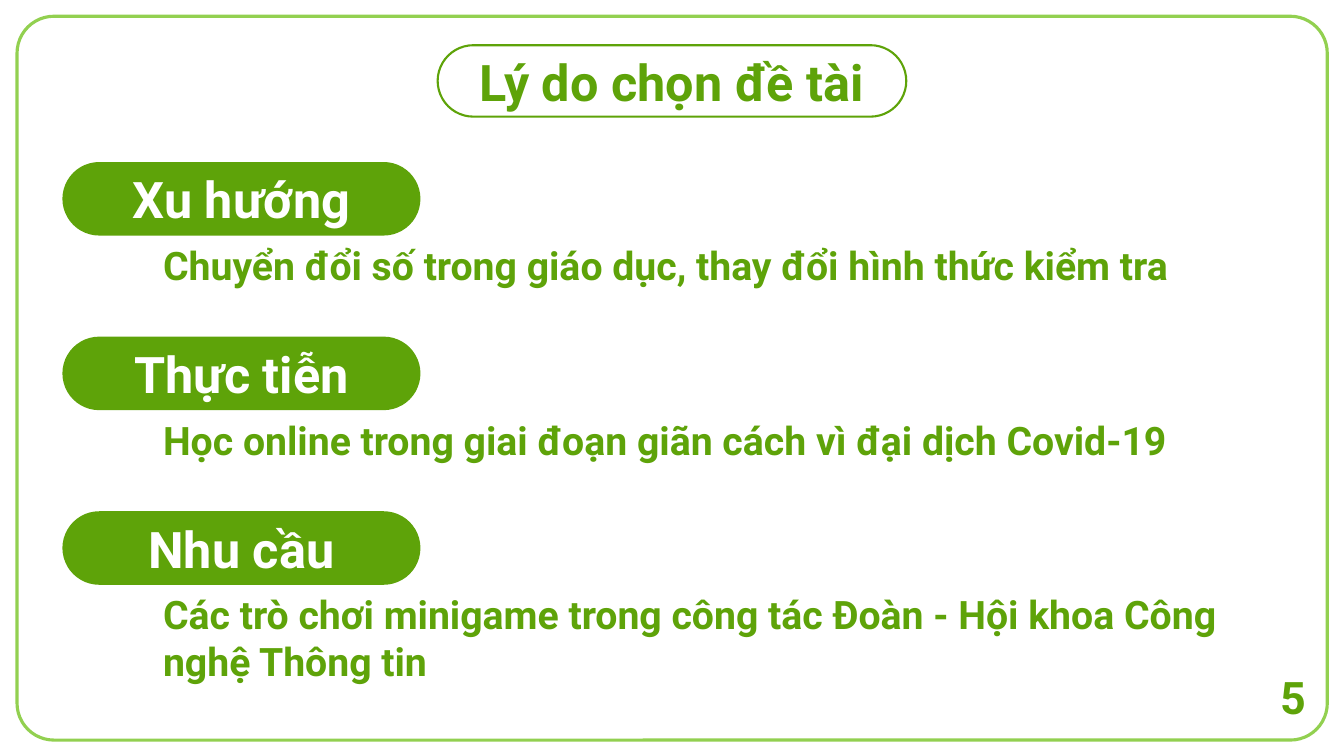
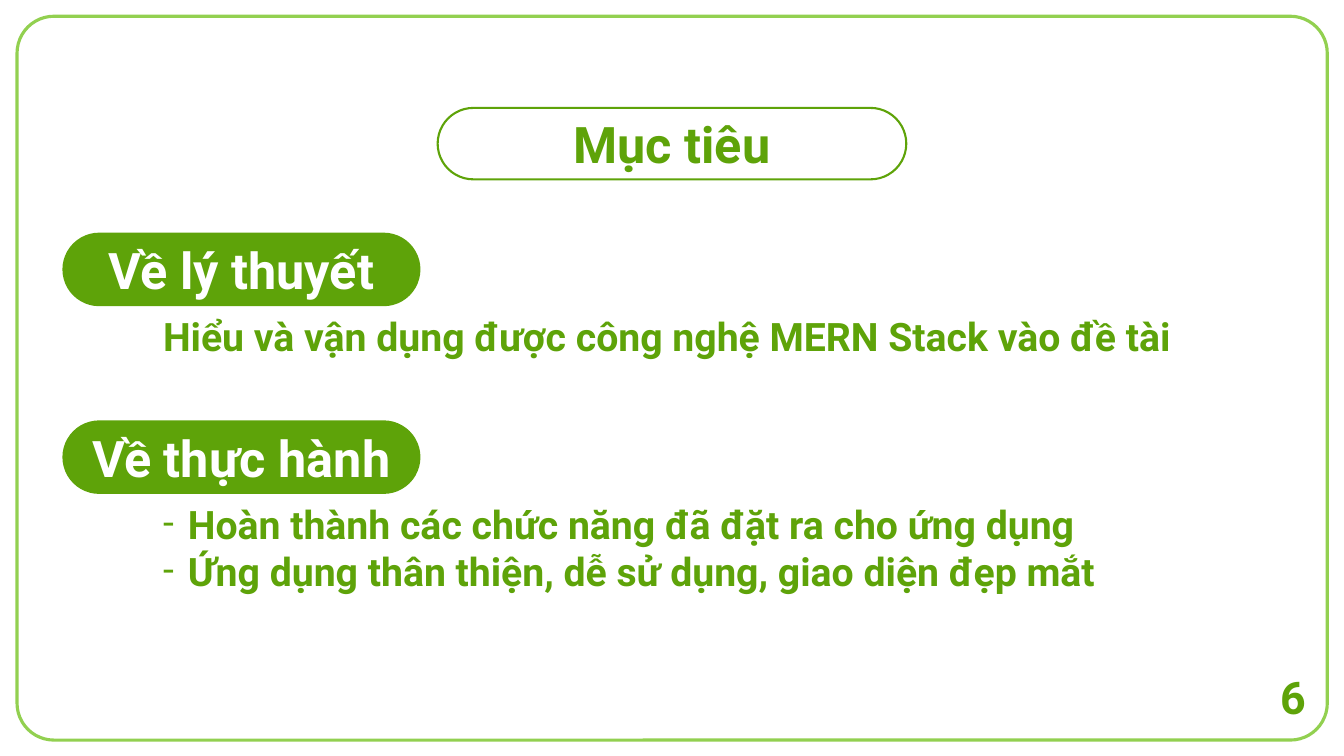
import pptx
import pptx.dml.color
import pptx.enum.shapes
import pptx.enum.text
import pptx.oxml.ns
import pptx.util
from lxml import etree

Cm = pptx.util.Cm
Pt = pptx.util.Pt
ALIGN = pptx.enum.text.PP_ALIGN
ANCHOR = pptx.enum.text.MSO_ANCHOR

COLORS = {"frame": "92D050", "green": "5EA309", "white": "FFFFFF"}
FONT = "Roboto"
SLIDE_WIDTH, SLIDE_HEIGHT = 33.87, 19.05
PILL_HEIGHT = 1.8
TITLE_WIDTH = 11.81
SECTION_LEFT, SECTION_WIDTH = 1.6, 8.97
TEXT_LEFT, TEXT_WIDTH, TEXT_OFFSET = 3.86, 28.5, 1.85
LINE_HEIGHT = 1.19
DASH_INDENT = 0.62
LAYOUT_CONTENT, LAYOUT_TITLE_ONLY = 1, 5

SLIDES = [
    {
        "title": "Lý do chọn đề tài",
        "title_top": 1.14,
        "number": 5,
        "first_top": 4.11,
        "step": 4.4,
        "sections": [
            ("Xu hướng", "Chuyển đổi số trong giáo dục, thay đổi hình thức kiểm tra"),
            ("Thực tiễn", "Học online trong giai đoạn giãn cách vì đại dịch Covid-19"),
            ("Nhu cầu", "Các trò chơi minigame trong công tác Đoàn - Hội khoa Công nghệ Thông tin"),
        ],
    },
    {
        "title": "Mục tiêu",
        "title_top": 2.72,
        "number": 6,
        "first_top": 5.89,
        "step": 4.73,
        "sections": [
            ("Về lý thuyết", "Hiểu và vận dụng được công nghệ MERN Stack vào đề tài"),
            ("Về thực hành", [
                "Hoàn thành các chức năng đã đặt ra cho ứng dụng",
                "Ứng dụng thân thiện, dễ sử dụng, giao diện đẹp mắt",
            ]),
        ],
    },
]


def rgb(name):
    return pptx.dml.color.RGBColor.from_string(COLORS[name])


def place(shape, left, top, width, height):
    shape.left, shape.top = Cm(left), Cm(top)
    shape.width, shape.height = Cm(width), Cm(height)


def format_text(shape, size, color="green", align=ALIGN.LEFT, anchor=ANCHOR.TOP, wrap=True):
    text_frame = shape.text_frame
    text_frame.word_wrap = wrap
    text_frame.auto_size = pptx.enum.text.MSO_AUTO_SIZE.NONE
    text_frame.vertical_anchor = anchor
    for paragraph in text_frame.paragraphs:
        paragraph.alignment = align
        paragraph.space_before = Pt(0)
        for run in paragraph.runs:
            run.font.name = FONT
            run.font.size = Pt(size)
            run.font.bold = True
            run.font.color.rgb = rgb(color)


def add_rounded(slide, left, top, width, height, line, line_width, fill=None, radius=0.5):
    shape = slide.shapes.add_shape(
        pptx.enum.shapes.MSO_SHAPE.ROUNDED_RECTANGLE, Cm(left), Cm(top), Cm(width), Cm(height))
    shape.adjustments[0] = radius
    shape.shadow.inherit = False
    shape.line.color.rgb = rgb(line)
    shape.line.width = Pt(line_width)
    if fill:
        shape.fill.solid()
        shape.fill.fore_color.rgb = rgb(fill)
    else:
        shape.fill.background()
    return shape


def add_text(slide, text, left, top, width, height, size, **style):
    shape = slide.shapes.add_textbox(Cm(left), Cm(top), Cm(width), Cm(height))
    shape.text_frame.text = text
    format_text(shape, size, **style)


def add_title(slide, text, top):
    bounds = ((SLIDE_WIDTH - TITLE_WIDTH) / 2, top, TITLE_WIDTH, PILL_HEIGHT)
    add_rounded(slide, *bounds, "green", 1.5)
    title = slide.shapes.title
    place(title, *bounds)
    title.text_frame.text = text
    format_text(title, 36, align=ALIGN.CENTER, anchor=ANCHOR.MIDDLE)


def add_section_label(slide, text, top):
    label = add_rounded(slide, SECTION_LEFT, top, SECTION_WIDTH, PILL_HEIGHT, "green", 1.5, "green")
    text_frame = label.text_frame
    text_frame.text = text
    text_frame.margin_left = text_frame.margin_right = 0
    text_frame.margin_top = text_frame.margin_bottom = 0
    format_text(label, 36, "white", ALIGN.CENTER, ANCHOR.MIDDLE)


def fill_dash_list(slide, items, top):
    body = slide.placeholders[1]
    place(body, TEXT_LEFT, top, TEXT_WIDTH, LINE_HEIGHT * len(items) + 0.26)
    body.text_frame.text = "\n".join(items)
    for paragraph in body.text_frame.paragraphs:
        properties = paragraph._p.get_or_add_pPr()
        properties.set("marL", str(Cm(DASH_INDENT)))
        properties.set("indent", str(-Cm(DASH_INDENT)))
        font = etree.SubElement(properties, pptx.oxml.ns.qn("a:buFont"))
        font.set("typeface", FONT)
        bullet = etree.SubElement(properties, pptx.oxml.ns.qn("a:buChar"))
        bullet.set("char", "-")
    format_text(body, 28)


def add_section(slide, label, content, top):
    add_section_label(slide, label, top)
    text_top = top + TEXT_OFFSET
    if isinstance(content, list):
        fill_dash_list(slide, content, text_top)
    else:
        add_text(slide, content, TEXT_LEFT, text_top, TEXT_WIDTH, 1.45, 28)


def build_slide(presentation, data):
    has_list = any(isinstance(content, list) for _, content in data["sections"])
    layout = LAYOUT_CONTENT if has_list else LAYOUT_TITLE_ONLY
    slide = presentation.slides.add_slide(presentation.slide_layouts[layout])
    add_rounded(slide, 0.43, 0.41, 33.02, 18.24, "frame", 2.25, radius=0.051)
    add_title(slide, data["title"], data["title_top"])
    for index, (label, content) in enumerate(data["sections"]):
        add_section(slide, label, content, data["first_top"] + index * data["step"])
    add_text(slide, str(data["number"]), 32, 16.74, 1.17, 1.63, 32, align=ALIGN.CENTER, wrap=False)


def main():
    presentation = pptx.Presentation()
    presentation.slide_width = Cm(SLIDE_WIDTH)
    presentation.slide_height = Cm(SLIDE_HEIGHT)
    for data in SLIDES:
        build_slide(presentation, data)
    presentation.save("out.pptx")


if __name__ == "__main__":
    main()
